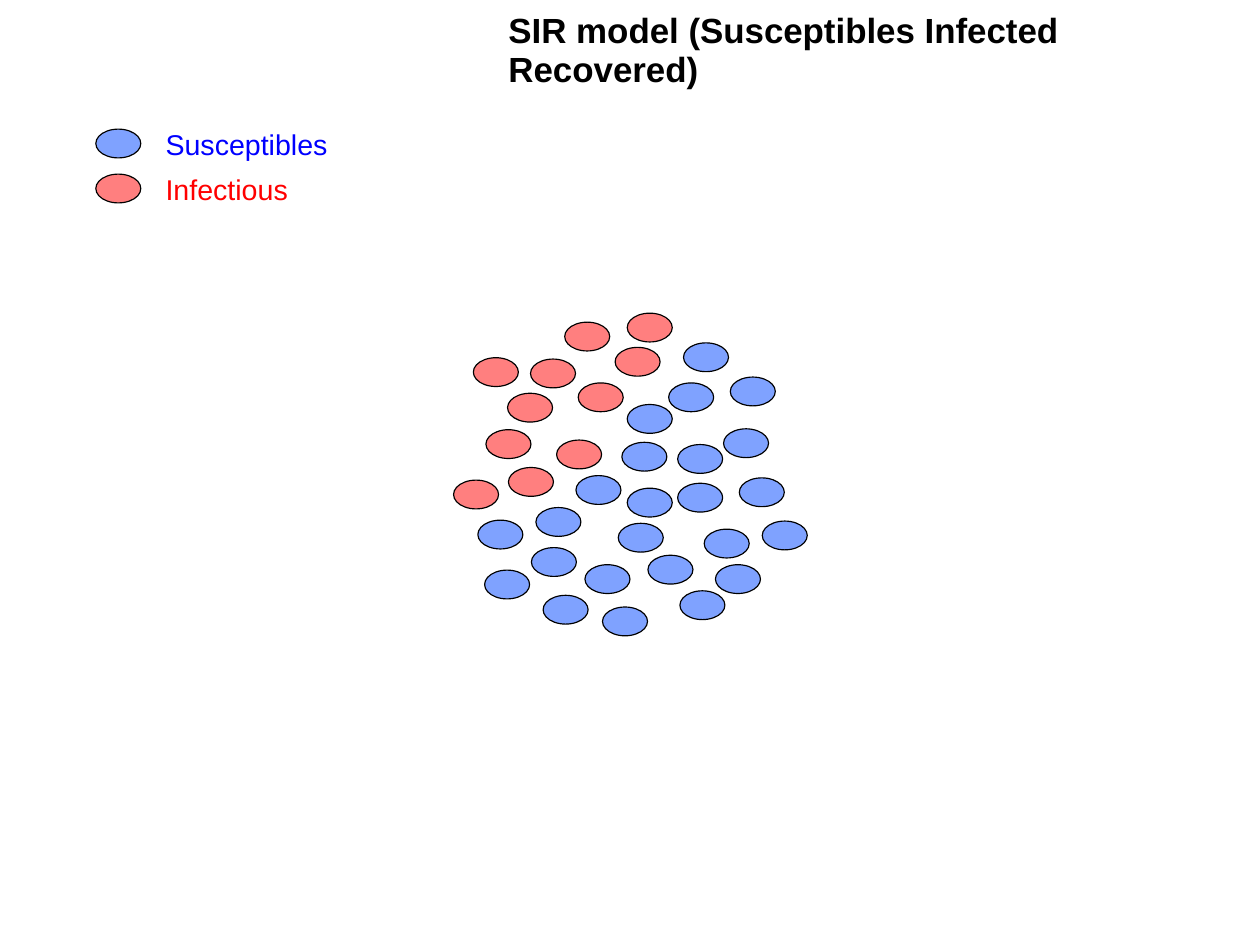
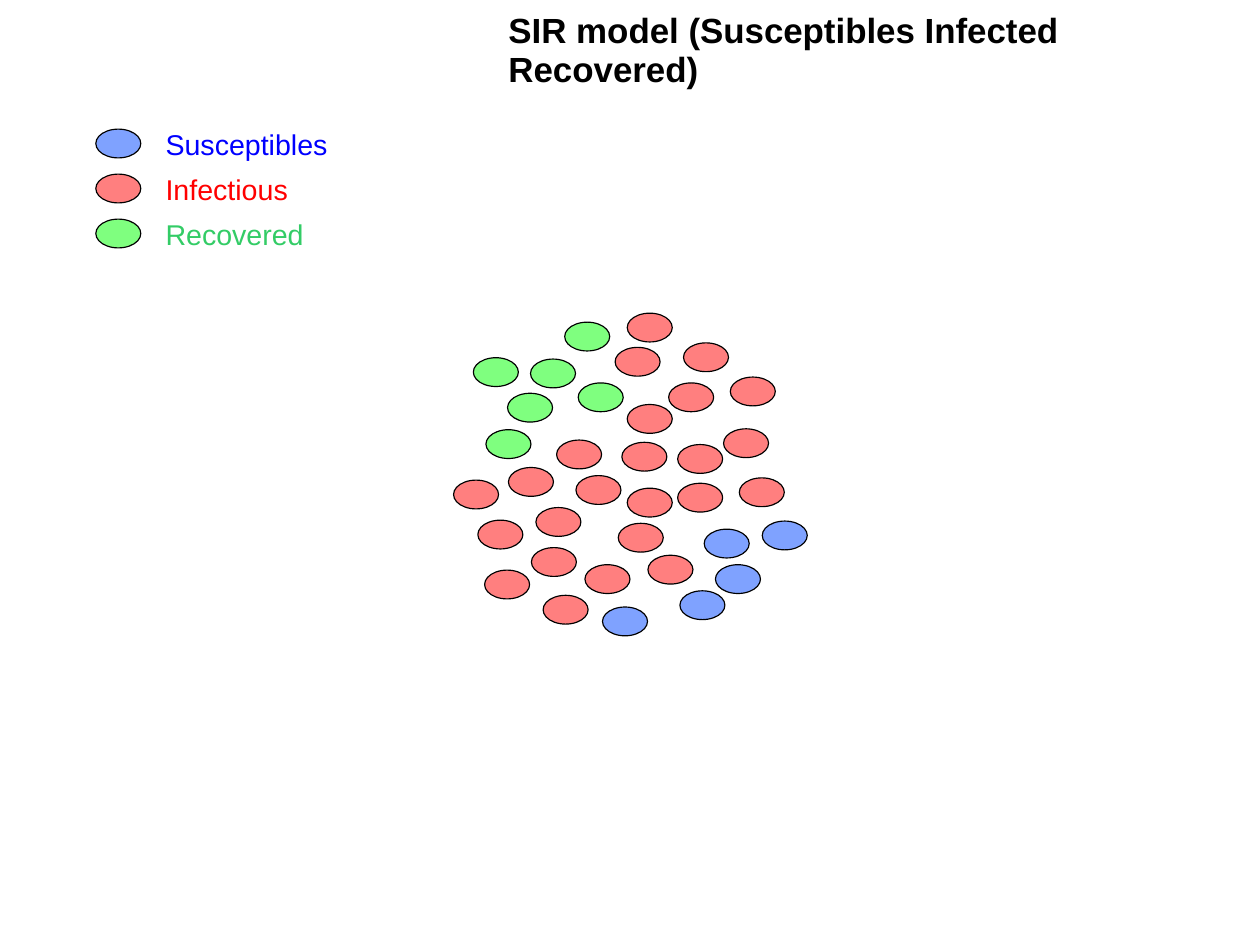
from lxml import etree
from pptx import Presentation
from pptx.dml.color import RGBColor
from pptx.enum.shapes import MSO_SHAPE
from pptx.oxml.ns import qn
from pptx.util import Cm, Pt

OVAL = MSO_SHAPE.OVAL

COLORS = {
    "outline": "000000",
    "title": "000000",
    "Susceptibles": "0047FF",
    "Infectious": "FF0000",
    "Recovered": "00FF00",
}
LABEL_COLORS = {
    "Susceptibles": "0000FF",
    "Infectious": "FF0000",
    "Recovered": "33CC66",
}
TITLE = "SIR model (Susceptibles Infected Recovered)"

# Left and top in cm of each person, grouped by how the state develops.
RECOVERING = [
    (11.28, 8.74), (12.85, 8.51), (10.8, 9.55),
    (11.79, 7.98), (12.55, 7.16), (10.52, 7.95),
]
STAYING_INFECTIOUS = [
    (12.37, 9.78), (11.3, 10.39), (13.67, 7.72), (10.08, 10.67), (13.94, 6.96),
]
NEWLY_INFECTED = [
    (13.82, 9.83), (14.86, 8.51), (15.06, 10.74), (13.94, 10.85),
    (11.91, 11.28), (11.81, 12.17), (13, 12.55), (14.4, 12.34),
    (16.08, 9.53), (16.43, 10.62), (10.62, 11.56), (12.07, 13.23),
    (13.94, 8.99), (12.8, 10.57), (10.77, 12.67), (15.06, 9.88),
    (16.23, 8.38), (15.19, 7.62), (13.74, 11.63),
]
STAYING_SUSCEPTIBLE = [
    (15.11, 13.13), (15.65, 11.76), (13.39, 13.49), (15.9, 12.55), (16.94, 11.58),
]

PAGES = [
    {
        "Susceptibles": NEWLY_INFECTED + STAYING_SUSCEPTIBLE,
        "Infectious": RECOVERING + STAYING_INFECTIOUS,
    },
    {
        "Susceptibles": STAYING_SUSCEPTIBLE,
        "Infectious": STAYING_INFECTIOUS + NEWLY_INFECTED,
        "Recovered": RECOVERING,
    },
]


class SirDeck:
    """Holds the shared style and the current page."""

    font = "Arial"
    person_size = (1, 0.64)
    legend_step = 1

    def __init__(self):
        self.deck = Presentation()
        self.deck.slide_width = Cm(28)
        self.deck.slide_height = Cm(21)
        self.page = None

    def add_page(self):
        self.page = self.deck.slides.add_slide(self.deck.slide_layouts[6])

    def person(self, left, top, state):
        """Draw a half-transparent oval in the colour of the state."""
        width, height = self.person_size
        oval = self.page.shapes.add_shape(
            OVAL, Cm(left), Cm(top), Cm(width), Cm(height))
        oval.shadow.inherit = False
        oval.fill.solid()
        oval.fill.fore_color.rgb = RGBColor.from_string(COLORS[state])
        color = oval.fill._xPr.find(qn("a:solidFill"))[0]
        etree.SubElement(color, qn("a:alpha")).set("val", "50000")
        oval.line.color.rgb = RGBColor.from_string(COLORS["outline"])
        oval.line.width = Pt(0.75)

    def text(self, left, top, width, height, words, size, color, bold=False):
        box = self.page.shapes.add_textbox(
            Cm(left), Cm(top), Cm(width), Cm(height))
        frame = box.text_frame
        frame.word_wrap = False
        frame.margin_left = frame.margin_right = Cm(0.25)
        frame.margin_top = Cm(0.18)
        frame.margin_bottom = Cm(0.13)
        frame.text = words
        para = frame.paragraphs[0]
        para.line_spacing = 0.93
        font = para.runs[0].font
        font.name = self.font
        font.size = Pt(size)
        font.bold = bold
        font.color.rgb = RGBColor.from_string(color)

    def title(self):
        self.text(11.05, 0.1, 16.95, 1.12, TITLE, 22, COLORS["title"], bold=True)

    def legend(self, states):
        for row, state in enumerate(states):
            offset = row * self.legend_step
            self.person(2.13, 2.87 + offset, state)
            self.text(3.43, 2.72 + offset, 4.1, 0.97, state, 18,
                      LABEL_COLORS[state])

    def population(self, groups):
        for state, places in groups.items():
            for left, top in places:
                self.person(left, top, state)


def main():
    sir = SirDeck()
    for groups in PAGES:
        sir.add_page()
        sir.population(groups)
        sir.legend(groups)
        sir.title()
    sir.deck.save("out.pptx")


if __name__ == "__main__":
    main()
